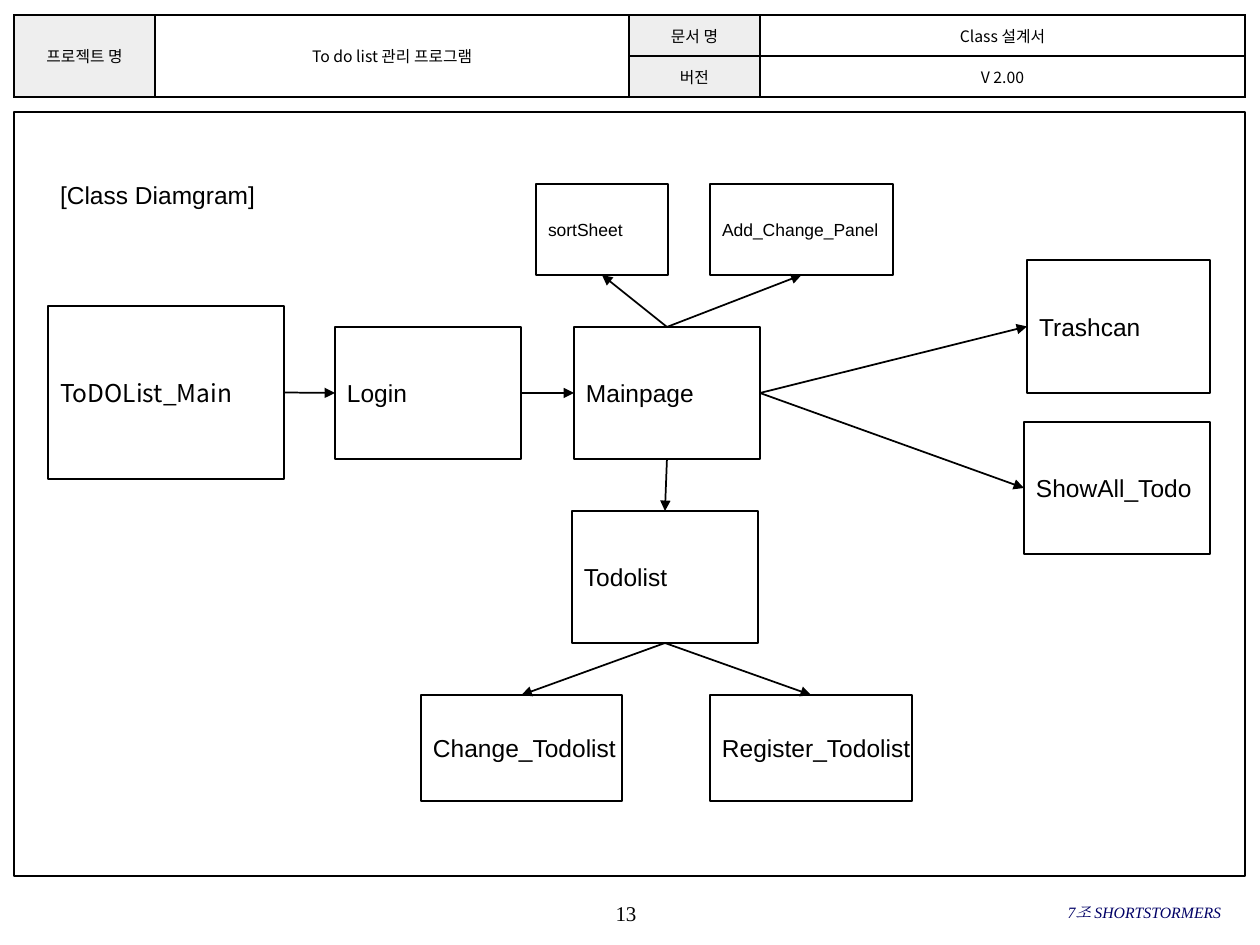
"""Builds the class diagram slide of a to-do list design document."""
from lxml import etree
from pptx import Presentation
from pptx.dml.color import RGBColor
from pptx.enum.shapes import MSO_CONNECTOR, MSO_SHAPE
from pptx.enum.text import MSO_ANCHOR, MSO_AUTO_SIZE, PP_ALIGN
from pptx.oxml.ns import qn
from pptx.util import Emu, Pt

LEFT, CENTER, RIGHT = PP_ALIGN.LEFT, PP_ALIGN.CENTER, PP_ALIGN.RIGHT
TOP, MIDDLE = MSO_ANCHOR.TOP, MSO_ANCHOR.MIDDLE
RECT, STRAIGHT = MSO_SHAPE.RECTANGLE, MSO_CONNECTOR.STRAIGHT
SIDES = {"top": 0, "left": 1, "bottom": 2, "right": 3}
SCALE = 914400 / 126

THEME = {
    "ink": "000000", "paper": "FFFFFF", "label": "EEEEEE", "team": "000066",
    "sans": "Arial", "korean": "Noto Sans CJK KR", "serif": "Times New Roman",
    "title": 14, "class": 14, "small": 10, "cell": 9, "page": 12, "footer": 9,
    "line": 1, "frame_line": 0.75,
}

TITLE = ("[Class Diamgram]", (48, 174, 222, 43))
FRAME = (14, 112, 1231, 764)
HEADER_AT = (14, 15)
HEADER_COLS = (141, 474, 131, 485)
HEADER_ROWS = (41, 41)
HEADER = [
    ["프로젝트 명", "To do list 관리 프로그램", "문서 명", "Class 설계서"],
    [None, None, "버전", "V 2.00"],
]
LABEL_COLS = (0, 2)
FOOTERS = [
    ("13", (495, 892, 262, 42), CENTER, "page", "ink", False),
    ("7조 SHORTSTORMERS", (835, 891, 386, 42), RIGHT, "footer", "team", True),
]
CLASSES = {
    "ToDOList_Main": ((48, 306, 236, 173), "class", "korean"),
    "Login": ((335, 327, 186, 132), "class", "sans"),
    "Mainpage": ((574, 327, 186, 132), "class", "sans"),
    "ShowAll_Todo": ((1024, 422, 186, 132), "class", "sans"),
    "Todolist": ((572, 511, 186, 132), "class", "sans"),
    "Change_Todolist": ((421, 695, 201, 106), "class", "sans"),
    "Register_Todolist": ((710, 695, 202, 106), "class", "sans"),
    "Trashcan": ((1027, 260, 183, 133), "class", "sans"),
    "Add_Change_Panel": ((710, 184, 183, 91), "small", "sans"),
    "sortSheet": ((536, 184, 132, 91), "small", "sans"),
}
ARROWS = [
    ("ToDOList_Main", "right", "Login", "left"),
    ("Login", "right", "Mainpage", "left"),
    ("Mainpage", "top", "Add_Change_Panel", "bottom"),
    ("Mainpage", "top", "sortSheet", "bottom"),
    ("Mainpage", "right", "Trashcan", "left"),
    ("Mainpage", "right", "ShowAll_Todo", "left"),
    ("Mainpage", "bottom", "Todolist", "top"),
    ("Todolist", "bottom", "Change_Todolist", "top"),
    ("Todolist", "bottom", "Register_Todolist", "top"),
]


def px(n):
    return Emu(round(n * SCALE))


def box(at):
    return [px(n) for n in at]


def rgb(name):
    return RGBColor.from_string(THEME[name])


def write(tf, text, size, font, color="ink", align=LEFT, italic=False):
    p = tf.paragraphs[0]
    p.alignment = align
    r = p.add_run()
    r.text = text
    r.font.color.rgb = rgb(color)
    look = {"size": Pt(THEME[size]), "name": THEME[font], "bold": False, "italic": italic}
    for key, value in look.items():
        setattr(r.font, key, value)
    etree.SubElement(r.font._element, qn("a:ea"), typeface=THEME[font])


def set_frame(tf, margins, **values):
    for side, n in zip(("left", "top", "right", "bottom"), margins):
        setattr(tf, "margin_" + side, px(n))
    for key, value in values.items():
        setattr(tf, key, value)


def add_rect(s, at, width):
    sp = s.shapes.add_shape(RECT, *box(at))
    sp.shadow.inherit = False
    sp.line.color.rgb = rgb("ink")
    sp.line.width = Pt(THEME[width])
    return sp


def add_class(s, name, at, size, font):
    sp = add_rect(s, at, "line")
    sp.fill.solid()
    sp.fill.fore_color.rgb = rgb("paper")
    set_frame(sp.text_frame, (12, 6, 12, 6), word_wrap=False, vertical_anchor=MIDDLE)
    write(sp.text_frame, name, size, font)
    return sp


def add_arrow(s, start, start_side, end, end_side):
    c = s.shapes.add_connector(STRAIGHT, 0, 0, 0, 0)
    c.begin_connect(start, SIDES[start_side])
    c.end_connect(end, SIDES[end_side])
    c.line.color.rgb = rgb("ink")
    c.line.width = Pt(THEME["line"])
    etree.SubElement(c.line._get_or_add_ln(), qn("a:tailEnd"), type="triangle")
    etree.SubElement(c._element.spPr, qn("a:effectLst"))


def add_borders(cell):
    tc_pr = cell._tc.get_or_add_tcPr()
    for i, edge in enumerate(("lnL", "lnR", "lnT", "lnB")):
        ln = etree.Element(qn("a:" + edge), w=str(Pt(THEME["line"])))
        fill = etree.SubElement(ln, qn("a:solidFill"))
        etree.SubElement(fill, qn("a:srgbClr"), val=THEME["ink"])
        tc_pr.insert(i, ln)


def add_header(s):
    size = (sum(HEADER_COLS), sum(HEADER_ROWS))
    table = s.shapes.add_table(len(HEADER_ROWS), len(HEADER_COLS), *box(HEADER_AT + size)).table
    table.first_row = table.horz_banding = False
    for col, n in zip(table.columns, HEADER_COLS):
        col.width = px(n)
    for row, n in zip(table.rows, HEADER_ROWS):
        row.height = px(n)
    for i, texts in enumerate(HEADER):
        for j, text in enumerate(texts):
            cell = table.cell(i, j)
            cell.fill.solid()
            cell.fill.fore_color.rgb = rgb("label" if j in LABEL_COLS else "paper")
            add_borders(cell)
            set_frame(cell, (5, 3, 5, 3), vertical_anchor=MIDDLE)
            if text is None:
                table.cell(i - 1, j).merge(cell)
            else:
                write(cell.text_frame, text, "cell", "korean", align=CENTER)


def main():
    prs = Presentation()
    prs.slide_width, prs.slide_height = px(1260), px(945)
    s = prs.slides.add_slide(prs.slide_layouts[5])

    text, at = TITLE
    title = s.shapes.title
    title.left, title.top, title.width, title.height = box(at)
    set_frame(title.text_frame, (12, 6, 12, 6), word_wrap=False, vertical_anchor=TOP,
              auto_size=MSO_AUTO_SIZE.SHAPE_TO_FIT_TEXT)
    write(title.text_frame, text, "title", "sans")

    add_header(s)
    add_rect(s, FRAME, "frame_line").fill.background()
    for text, at, align, size, color, italic in FOOTERS:
        tf = s.shapes.add_textbox(*box(at)).text_frame
        set_frame(tf, (0, 0, 0, 0), word_wrap=True, vertical_anchor=MIDDLE)
        write(tf, text, size, "serif", color, align, italic)

    nodes = {name: add_class(s, name, *spec) for name, spec in CLASSES.items()}
    for start, start_side, end, end_side in ARROWS:
        add_arrow(s, nodes[start], start_side, nodes[end], end_side)
    prs.save("out.pptx")


main()
